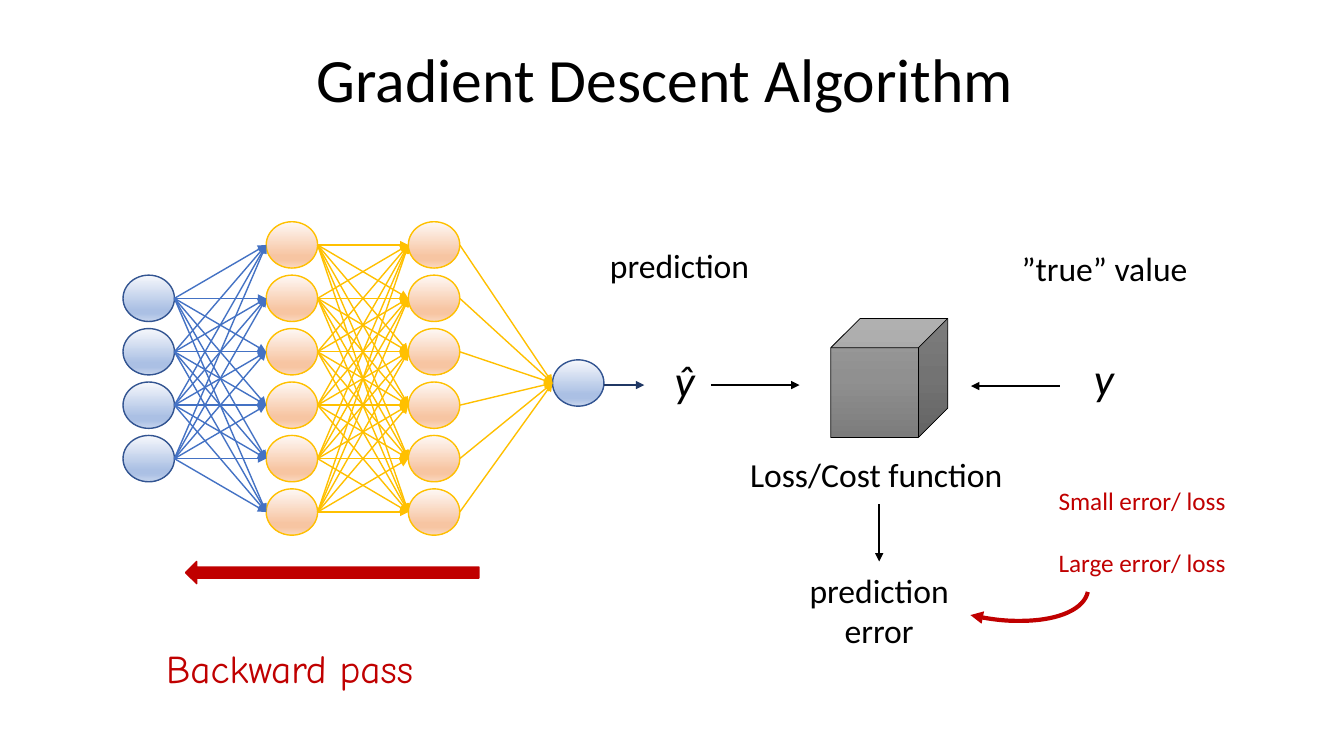
import dataclasses
import itertools

import lxml.etree
import pptx
import pptx.dml.color
import pptx.enum.shapes
import pptx.enum.text
import pptx.oxml.ns
import pptx.util

Shape = pptx.enum.shapes.MSO_SHAPE
Align = pptx.enum.text.PP_ALIGN
Anchor = pptx.enum.text.MSO_ANCHOR
qn = pptx.oxml.ns.qn
PX = 9144


@dataclasses.dataclass(frozen=True)
class Theme:
    black: str = "000000"
    red: str = "C00000"
    blue: str = "4472C4"
    gold: str = "FFC000"
    rim: str = "325491"
    navy: str = "203864"
    cool: tuple = ((0, "F6F8FC"), (74, "ABC0E4"), (83, "ABC0E4"), (100, "C7D5ED"))
    warm: tuple = ((0, "FEF8F5"), (74, "F7C5A2"), (83, "F7C5A2"), (100, "FAD8C1"))
    gray: tuple = ((0, "9D9D9D"), (50, "909090"), (100, "7C7C7C"))
    font: str = "Calibri"
    hand: str = "Comic Neue"
    title: int = 44
    symbol: int = 32
    pass_size: int = 28
    label: int = 24
    note: int = 18


class Deck:
    def __init__(self, theme):
        self.theme = theme
        self.file = pptx.Presentation()
        self.file.slide_width = 1333 * PX
        self.file.slide_height = 750 * PX
        self.slide = self.file.slides.add_slide(self.file.slide_layouts[6])

    def rgb(self, color):
        return pptx.dml.color.RGBColor.from_string(color)

    def stroke(self, line, color, width, end=None):
        line.color.rgb = self.rgb(color)
        line.width = pptx.util.Pt(width)
        if end:
            tip = lxml.etree.SubElement(line._get_or_add_ln(), qn("a:" + end))
            tip.set("type", "triangle")

    def blend(self, shape, stops):
        shape.fill.gradient()
        grad = shape._element.spPr.find(qn("a:gradFill"))
        rows = grad.find(qn("a:gsLst"))
        for old in list(rows):
            rows.remove(old)
        for place, color in stops:
            stop = lxml.etree.SubElement(rows, qn("a:gs"), pos=str(place * 1000))
            lxml.etree.SubElement(stop, qn("a:srgbClr"), val=color)
        grad.find(qn("a:lin")).set("ang", "5400000")

    def shape(self, kind, box, color, fill=None, width=1, turn=0, end=None):
        item = self.slide.shapes.add_shape(kind, *[n * PX for n in box])
        item.shadow.inherit = False
        item.rotation = turn
        if fill is None:
            item.fill.background()
        elif isinstance(fill, tuple):
            self.blend(item, fill)
        else:
            item.fill.solid()
            item.fill.fore_color.rgb = self.rgb(fill)
        self.stroke(item.line, color, width, end)

    def arrow(self, start, stop, color):
        ends = [n * PX for n in (*start, *stop)]
        item = self.slide.shapes.add_connector(
            pptx.enum.shapes.MSO_CONNECTOR.STRAIGHT, *ends)
        self.stroke(item.line, color, 1, "tailEnd")
        lxml.etree.SubElement(item._element.spPr, qn("a:effectLst"))

    def text(self, box, lines, size, color=None, font=None, align=Align.CENTER,
             italic=False, wrap=True, anchor=Anchor.TOP, gap=0, lead=None):
        item = self.slide.shapes.add_textbox(*[n * PX for n in box])
        frame = item.text_frame
        frame.word_wrap = wrap
        frame.vertical_anchor = anchor
        frame.text = "\n".join(lines)
        for rank, para in enumerate(frame.paragraphs):
            para.alignment = align
            para.line_spacing = lead
            if rank:
                para.space_before = pptx.util.Pt(gap)
            para.font.size = pptx.util.Pt(size)
            para.font.name = font or self.theme.font
            para.font.italic = italic
            para.font.color.rgb = self.rgb(color or self.theme.black)


def network(deck):
    look = deck.theme
    wide, high, pitch = 51, 46, 53
    layers = [
        (122, 273, 4, look.cool, look.rim),
        (264, 220, 6, look.warm, look.gold),
        (405, 220, 6, look.warm, look.gold),
        (548, 357, 1, look.cool, look.rim),
    ]
    nodes = []
    for left, top, count, fill, rim in layers:
        spots = [(left, top + pitch * row) for row in range(count)]
        for spot in spots:
            deck.shape(Shape.OVAL, (*spot, wide, high), rim, fill)
        nodes.append(spots)
    hues = (look.blue, look.gold, look.gold)
    for near, far, hue in zip(nodes, nodes[1:], hues):
        for (x, y), (u, v) in itertools.product(near, far):
            deck.arrow((x + wide, y + high // 2), (u, v + high // 2), hue)


def main():
    look = Theme()
    deck = Deck(look)
    deck.text((92, 9, 1150, 145), ["Gradient Descent Algorithm "], look.title,
              anchor=Anchor.MIDDLE, lead=0.9)
    network(deck)

    deck.shape(Shape.RIGHT_ARROW, (184, 557, 291, 22), look.red, look.red, turn=180)
    deck.text((155, 634, 392, 57), ["Backward pass"], look.pass_size, look.red,
              look.hand, Align.LEFT)

    deck.shape(Shape.CUBE, (824, 316, 116, 118), look.black, look.gray, 0.5)
    for start, stop, hue in [
        ((599, 382), (639, 382), look.navy),
        ((705, 382), (793, 382), look.black),
        ((1051, 383), (963, 383), look.black),
        ((872, 500), (872, 557), look.black),
    ]:
        deck.arrow(start, stop, hue)

    for box, word in [((659, 345, 40, 64), "ŷ"), ((1075, 343, 40, 64), "y")]:
        deck.text(box, [word], look.symbol, italic=True, wrap=False)
    for box, word in [
        ((585, 238, 178, 50), "prediction"),
        ((993, 241, 205, 50), "”true” value"),
        ((690, 445, 358, 50), "Loss/Cost function"),
        ((783, 560, 178, 91), "prediction error"),
    ]:
        deck.text(box, [word], look.label)

    deck.shape(Shape.ARC, (925, 455, 96, 217), look.red, width=3, turn=102.7,
               end="tailEnd")
    deck.text((1040, 477, 302, 101), ["Small error/ loss", "Large error/ loss"],
              look.note, look.red, align=Align.LEFT, gap=22)
    deck.file.save("out.pptx")


if __name__ == "__main__":
    main()
